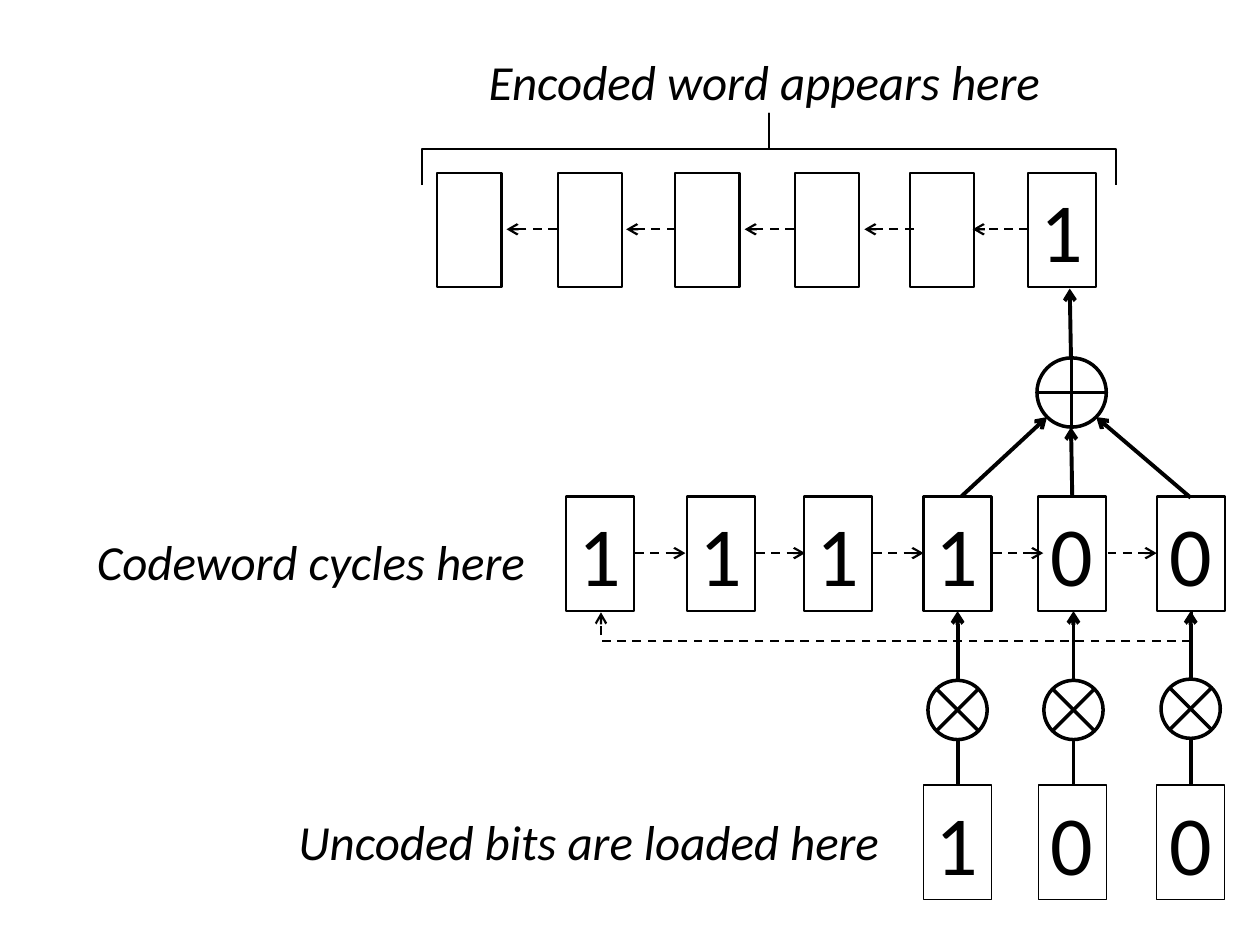
from lxml import etree
from pptx import Presentation
from pptx.dml.color import RGBColor
from pptx.enum.dml import MSO_LINE
from pptx.enum.shapes import MSO_CONNECTOR, MSO_SHAPE
from pptx.enum.text import MSO_ANCHOR, MSO_AUTO_SIZE, PP_ALIGN
from pptx.oxml.ns import qn
from pptx.util import Inches, Pt

COLORS = {"ink": "000000", "paper": "FFFFFF"}
INK = RGBColor.from_string(COLORS["ink"])
PAPER = RGBColor.from_string(COLORS["paper"])

deck = Presentation()
deck.slide_width, deck.slide_height = Inches(10), Inches(7.5)
slide = deck.slides.add_slide(deck.slide_layouts[6])
shapes = slide.shapes


def draw(kind, left, top, width, height, weight, text="", fill=False):
    shape = shapes.add_shape(kind, Inches(left), Inches(top), Inches(width), Inches(height))
    shape.shadow.inherit = False
    if fill:
        shape.fill.solid()
        shape.fill.fore_color.rgb = PAPER
    else:
        shape.fill.background()
    shape.line.color.rgb = INK
    shape.line.width = Pt(weight)
    if text:
        frame = shape.text_frame
        frame.text = text
        frame.word_wrap = False
        frame.auto_size = MSO_AUTO_SIZE.SHAPE_TO_FIT_TEXT
        frame.vertical_anchor = MSO_ANCHOR.TOP
        para = frame.paragraphs[0]
        para.alignment = PP_ALIGN.LEFT
        font = para.runs[0].font
        font.name, font.size = "Calibri", Pt(48)
        font.color.rgb = INK
    return shape


def link(x1, y1, x2, y2, dash=False, kind=MSO_CONNECTOR.STRAIGHT):
    line = shapes.add_connector(kind, Inches(x1), Inches(y1), Inches(x2), Inches(y2))
    line.line.color.rgb = INK
    line.line.width = Pt(1.25 if dash else 2.25)
    if dash:
        line.line.dash_style = MSO_LINE.DASH
    props = line._element.spPr
    etree.SubElement(props.find(qn("a:ln")), qn("a:tailEnd"), type="arrow")
    etree.SubElement(props, qn("a:effectLst"))
    return line


cols = [4.49, 5.45, 6.38, 7.33, 8.24, 9.18]
wide, tall = 0.54, 0.91
code_y, bit_y, word_y = 3.94, 6.23, 1.37
shift = 1.02

for left, bit in zip(cols, "111100"):
    draw(MSO_SHAPE.RECTANGLE, left, code_y, wide, tall, 1.25, bit)
for left, bit in zip(cols[3:], "100"):
    draw(MSO_SHAPE.RECTANGLE, left, bit_y, wide, tall, 0.75, bit)
for left in cols[:-1]:
    draw(MSO_SHAPE.RECTANGLE, left - shift, word_y, 0.51, tall, 1.25)
draw(MSO_SHAPE.RECTANGLE, cols[-1] - shift, word_y, wide, tall, 1.25, "1")

for left, tip in zip(cols, [5.44, 6.39, 7.33, 8.28, 9.18]):
    link(left + wide + 0.01, 4.39, tip, 4.39, dash=True)
for start, tip in [(4.42, 4.02), (5.36, 4.97), (6.3, 5.91), (7.25, 6.86), (8.16, 7.72)]:
    link(start, 1.82, tip, 1.82, dash=True)

cycle = link(7.11, 2.51, 7.12, 7.2, dash=True, kind=MSO_CONNECTOR.ELBOW)
cycle.rotation = 90
props = cycle._element.spPr
props.find(qn("a:xfrm")).set("rot", "5400000")
guides = props.find(qn("a:prstGeom")).find(qn("a:avLst"))
etree.SubElement(guides, qn("a:gd"), name="adj1", fmla="val 2400000")

for mid, top in [(7.6, 5.4), (8.52, 5.4), (9.45, 5.39)]:
    link(mid, bit_y, mid, code_y + tall)
    draw(MSO_SHAPE.FLOWCHART_SUMMING_JUNCTION, mid - 0.235, top, 0.47, 0.47, 2, fill=True)

draw(MSO_SHAPE.FLOWCHART_OR, 8.23, 2.84, 0.55, 0.55, 2)
for ends in [(7.63, 3.94, 8.31, 3.31), (8.51, 3.94, 8.5, 3.39),
             (9.45, 3.95, 8.7, 3.31), (8.5, 2.85, 8.49, 2.29)]:
    link(*ends)

brace = draw(MSO_SHAPE.LEFT_BRACE, 5.82, -1.57, 0.57, 5.51, 1.25)
brace.rotation = 90
brace.adjustments[0] = 0
brace.adjustments[1] = 0.5

for text, left, top, width in [
    ("Encoded word appears here", 3.78, 0.36, 4.76),
    ("Codeword cycles here", 0.67, 4.17, 3.64),
    ("Uncoded bits are loaded here", 2.27, 6.39, 4.86),
]:
    label = shapes.add_textbox(Inches(left), Inches(top), Inches(width), Inches(0.57))
    frame = label.text_frame
    frame.text = text
    frame.word_wrap = False
    frame.auto_size = MSO_AUTO_SIZE.SHAPE_TO_FIT_TEXT
    font = frame.paragraphs[0].runs[0].font
    font.name, font.size, font.italic = "Calibri", Pt(28), True
    font.color.rgb = INK

deck.save("out.pptx")
